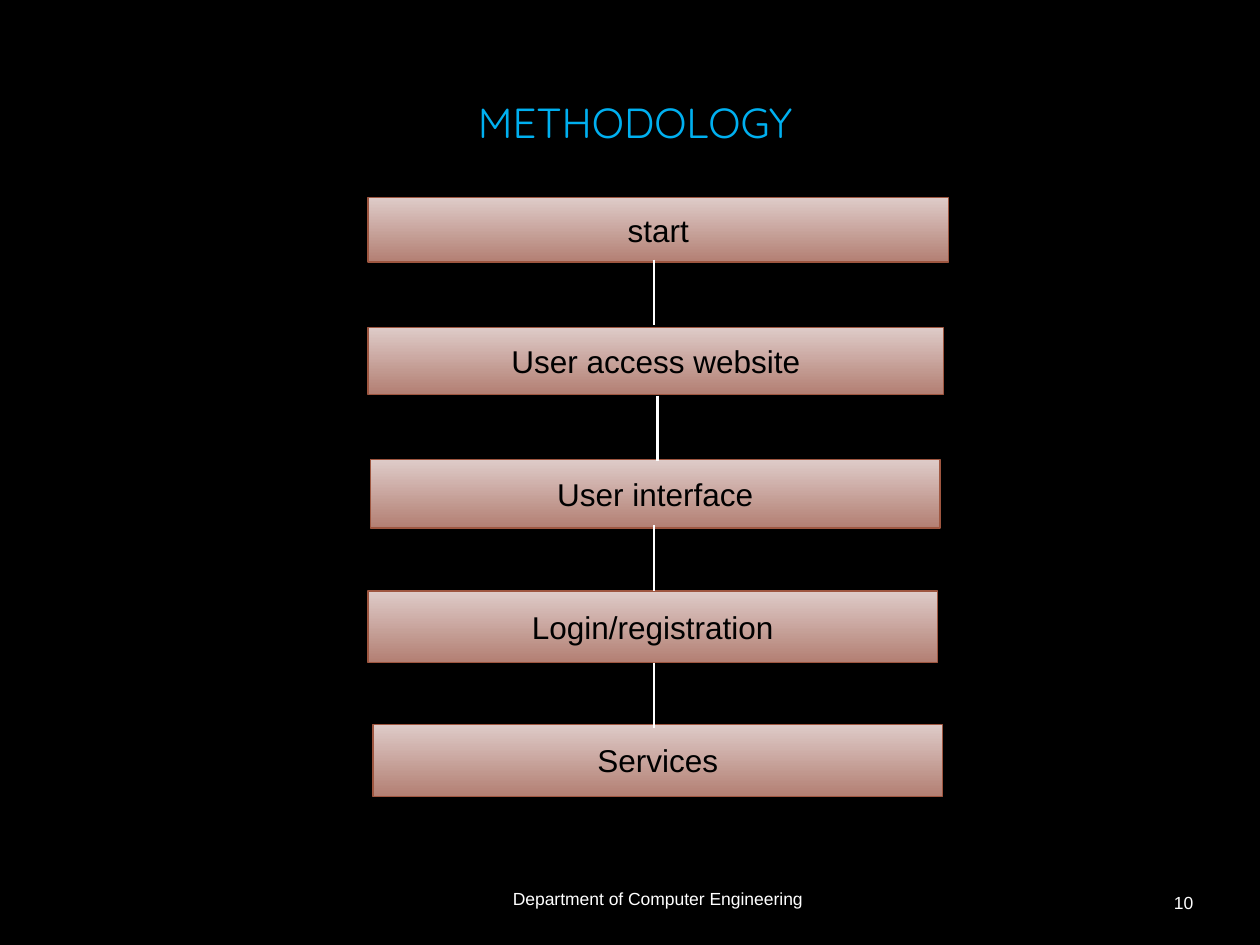
from pptx import Presentation
from pptx.dml.color import RGBColor
from pptx.enum.shapes import MSO_CONNECTOR, MSO_SHAPE
from pptx.enum.text import MSO_ANCHOR, PP_ALIGN
from pptx.oxml.ns import qn
from pptx.util import Inches, Pt
from lxml import etree

RECTANGLE = MSO_SHAPE.RECTANGLE
STRAIGHT = MSO_CONNECTOR.STRAIGHT
TOP, MIDDLE = MSO_ANCHOR.TOP, MSO_ANCHOR.MIDDLE
CENTER, RIGHT = PP_ALIGN.CENTER, PP_ALIGN.RIGHT

BLACK = RGBColor(0x00, 0x00, 0x00)
WHITE = RGBColor(0xFF, 0xFF, 0xFF)
SKY = RGBColor(0x00, 0xB0, 0xF0)
ROSE_LIGHT = RGBColor(0xDE, 0xCB, 0xC8)
ROSE_DARK = RGBColor(0xB3, 0x7F, 0x73)
RUST = RGBColor(0x9E, 0x56, 0x40)

COLUMNS, ROWS = 100, 75
CONNECTOR_ROWS = 5.2


class FlowSlide:
    """Style and current page; lengths are in columns and rows of the grid."""

    body_font, title_font = "Arial", "Quicksand"

    def __init__(self, deck):
        self.column = deck.slide_width / COLUMNS
        self.row = deck.slide_height / ROWS
        self.page = deck.slides.add_slide(deck.slide_layouts[6])
        background = self.page.background.fill
        background.solid()
        background.fore_color.rgb = BLACK

    def place(self, left, top, width, height):
        return (round(left * self.column), round(top * self.row),
                round(width * self.column), round(height * self.row))

    def add_text(self, frame, text, size, color, font, align, anchor):
        frame.word_wrap = True
        frame.vertical_anchor = anchor
        para = frame.paragraphs[0]
        para.alignment = align
        span = para.add_run()
        span.text = text
        span.font.size = Pt(size)
        span.font.name = font
        span.font.color.rgb = color

    def title(self, text, *area):
        box = self.page.shapes.add_textbox(*self.place(*area))
        self.add_text(box.text_frame, text, 24, SKY, self.title_font, CENTER, TOP)

    def footer(self, text, align, *area):
        frame = self.page.shapes.add_textbox(*self.place(*area)).text_frame
        frame.margin_left = frame.margin_right = 0
        frame.margin_top = frame.margin_bottom = 0
        self.add_text(frame, text, 10, WHITE, self.body_font, align, MIDDLE)

    def step(self, text, *area):
        box = self.page.shapes.add_shape(RECTANGLE, *self.place(*area))
        box.shadow.inherit = False
        box.fill.gradient()
        box.fill.gradient_angle = 270
        stops = box.fill.gradient_stops
        for stop, position, color in zip(stops, (0, 1), (ROSE_LIGHT, ROSE_DARK)):
            stop.position = position
            stop.color.rgb = color
        box.line.color.rgb = RUST
        box.line.width = Pt(0.75)
        self.add_text(box.text_frame, text, 18, BLACK, self.body_font, CENTER, MIDDLE)

    def connector(self, left, top):
        x, y, _, drop = self.place(left, top, 0, CONNECTOR_ROWS)
        line = self.page.shapes.add_connector(STRAIGHT, x, y, x, y + drop)
        line.line.color.rgb = WHITE
        line.line.width = Pt(1.5)
        etree.SubElement(line._element.spPr, qn("a:effectLst"))


# Step text with left, top, width and height
STEPS = [
    ("start", 29.2, 15.7, 46.1, 5.1),
    ("User access website", 29.2, 26, 45.7, 5.3),
    ("User interface", 29.4, 36.5, 45.2, 5.4),
    ("Login/registration", 29.2, 46.9, 45.2, 5.7),
    ("Services", 29.6, 57.5, 45.2, 5.7),
]
# Left and top of each link between two steps
LINKS = [(51.9, 20.6), (52.2, 31.4), (51.9, 41.7), (51.9, 52.6)]


def main():
    deck = Presentation()
    deck.slide_width, deck.slide_height = Inches(10), Inches(7.5)
    slide = FlowSlide(deck)

    # Title and footer
    slide.title("METHODOLOGY", 13.7, 7.2, 73.4, 5)
    slide.footer("Department of Computer Engineering", CENTER, 36.2, 68.7, 32, 5.3)
    slide.footer("10", RIGHT, 71.7, 69.7, 23, 3.8)

    # Flow chart
    for step in STEPS:
        slide.step(*step)
    for link in LINKS:
        slide.connector(*link)

    deck.save("out.pptx")


if __name__ == "__main__":
    main()
